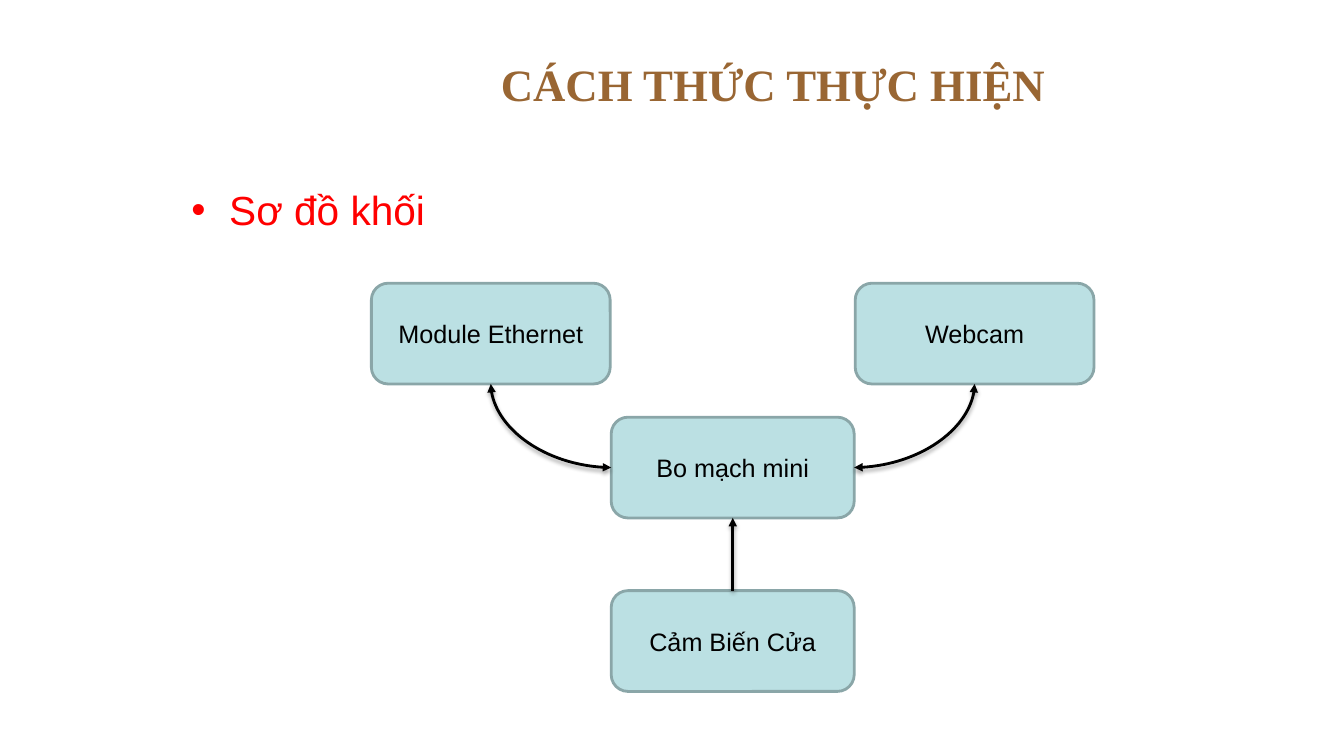
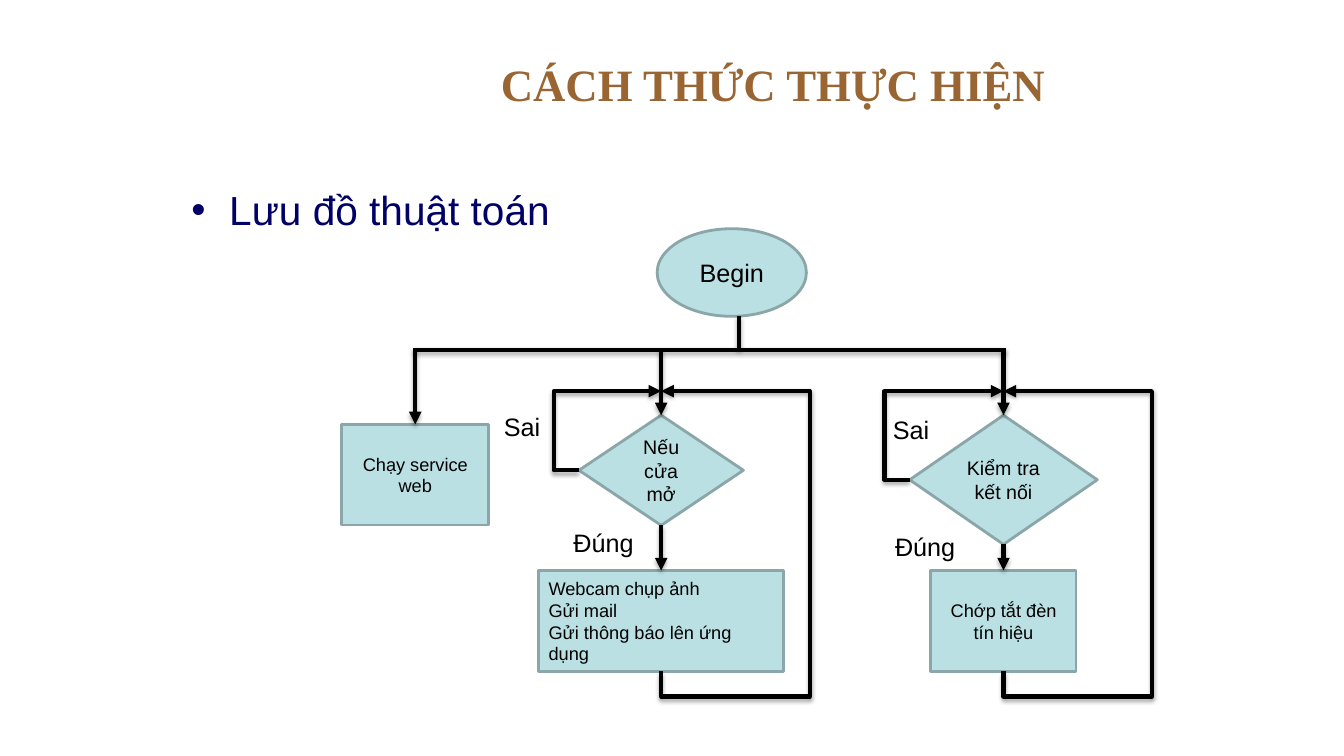
from dataclasses import dataclass

from lxml.etree import SubElement
from pptx import Presentation
from pptx.dml.color import RGBColor as RGB
from pptx.enum.shapes import MSO_CONNECTOR as LINK, MSO_SHAPE as SHAPE
from pptx.enum.text import MSO_ANCHOR as ANCHOR, MSO_AUTO_SIZE as FIT, PP_ALIGN as ALIGN
from pptx.oxml.ns import qn
from pptx.util import Pt


@dataclass(frozen=True)
class Theme:
    title_color: str = "996633"
    red: str = "FF0000"
    navy: str = "000066"
    ink: str = "000000"
    node_fill: str = "BBE0E3"
    node_line: str = "8AA6A8"
    title_font: str = "Times New Roman"
    font: str = "Arial"
    title: float = 32
    bullet: float = 29
    label: float = 18
    decision: float = 14
    small: float = 13
    thin: float = 2
    thick: float = 3


T = Theme()


class Deck:
    """Holds the style and the current slide."""

    def __init__(self):
        self.prs = Presentation()
        self.prs.slide_width, self.prs.slide_height = Pt(960), Pt(540)
        self.s = None

    # Text
    def run(self, p, text, size, color=T.ink, font=T.font, bold=False):
        r = p.add_run()
        r.text = text
        r.font.size, r.font.name, r.font.bold = Pt(size), font, bold
        r.font.color.rgb = RGB.from_string(color)

    def slide(self, title):
        self.s = self.prs.slides.add_slide(self.prs.slide_layouts[5])
        sp = self.s.shapes.title
        sp.left, sp.top, sp.width, sp.height = Pt(184.3), Pt(22.3), Pt(743.8), Pt(74.2)
        tf = sp.text_frame
        tf.auto_size, tf.vertical_anchor = FIT.NONE, ANCHOR.MIDDLE
        p = tf.paragraphs[0]
        p.alignment = ALIGN.CENTER
        self.run(p, title, T.title, T.title_color, T.title_font, True)

    def bullet(self, text, color):
        sp = self.s.shapes.add_textbox(Pt(129.6), Pt(128.9), Pt(798.5), Pt(369.4))
        sp.text_frame.word_wrap = True
        p = sp.text_frame.paragraphs[0]
        p.space_before = Pt(T.bullet * 0.2)
        pPr = p._p.get_or_add_pPr()
        pPr.set("marL", str(Pt(27)))
        pPr.set("indent", str(-Pt(27)))
        SubElement(pPr, qn("a:buFont"), typeface=T.font)
        SubElement(pPr, qn("a:buChar"), char="•")
        self.run(p, text, T.bullet, color)

    def label(self, text, x, y, w):
        sp = self.s.shapes.add_textbox(Pt(x), Pt(y), Pt(w), Pt(29))
        tf = sp.text_frame
        tf.word_wrap, tf.auto_size = False, FIT.SHAPE_TO_FIT_TEXT
        self.run(tf.paragraphs[0], text, T.label)

    # Nodes are placed by centre x and top
    def node(self, kind, cx, y, w, h, lines, size=T.label, align=ALIGN.CENTER):
        sp = self.s.shapes.add_shape(kind, Pt(cx - w / 2), Pt(y), Pt(w), Pt(h))
        sp.shadow.inherit = False
        sp.fill.solid()
        sp.fill.fore_color.rgb = RGB.from_string(T.node_fill)
        sp.line.color.rgb = RGB.from_string(T.node_line)
        sp.line.width = Pt(T.thin)
        tf = sp.text_frame
        tf.word_wrap, tf.vertical_anchor = True, ANCHOR.MIDDLE
        for i, text in enumerate(lines):
            p = tf.add_paragraph() if i else tf.paragraphs[0]
            p.alignment = align
            self.run(p, text, size)
        return sp

    # Lines
    def stroke(self, line_shape, width, ends):
        line_shape.line.color.rgb = RGB.from_string(T.ink)
        line_shape.line.width = Pt(width)
        spPr = line_shape.element.spPr
        for end in ends:
            SubElement(spPr.find(qn("a:ln")), qn(f"a:{end}End"), type="triangle")
        effects = SubElement(spPr, qn("a:effectLst"))
        shadow = SubElement(effects, qn("a:outerShdw"), blurRad=str(Pt(3.1)),
                            dist=str(Pt(1.8)), dir="5400000", rotWithShape="0")
        color = SubElement(shadow, qn("a:srgbClr"), val=T.ink)
        SubElement(color, qn("a:alpha"), val="35000")

    def link(self, start, end, width=T.thick, ends=("tail",), kind=LINK.STRAIGHT,
             begin=None, finish=None):
        """begin and finish are (shape, side) pairs to join."""
        c = self.s.shapes.add_connector(kind, *(Pt(v) for v in (*start, *end)))
        if begin:
            c.begin_connect(*begin)
        if finish:
            c.end_connect(*finish)
        self.stroke(c, width, ends)
        return c.element.spPr.find(qn("a:prstGeom"))

    def curve(self, start, end):
        geom = self.link(start, end, T.thin, ("head", "tail"), LINK.CURVE)
        geom.set("prst", "curvedConnector2")

    def elbow(self, start, end, bend_x):
        geom = self.link(start, end, kind=LINK.ELBOW)
        ratio = (bend_x - start[0]) / (end[0] - start[0])
        SubElement(geom.find(qn("a:avLst")), qn("a:gd"), name="adj1",
                   fmla=f"val {round(ratio * 100000)}")

    def route(self, *points):
        pts = [(Pt(x), Pt(y)) for x, y in points]
        fb = self.s.shapes.build_freeform(*pts[0])
        fb.add_line_segments(pts[1:], close=False)
        sp = fb.convert_to_shape()
        sp.fill.background()
        self.stroke(sp, T.thick, ("tail",))


TITLE = "CÁCH THỨC THỰC HIỆN "


def block_diagram(d):
    d.slide(TITLE)
    d.bullet("Sơ đồ khối", T.red)

    # Boxes
    mid, side, core_w, h = 523.4, 172.8, 173.6, 72
    top_y, core_y, sensor_y = 202.3, 298, 421.9
    core = d.node(SHAPE.ROUNDED_RECTANGLE, mid, core_y, core_w, h, ["Bo mạch mini"])
    for cx, text in ((mid - side, "Module Ethernet"), (mid + side, "Webcam")):
        d.node(SHAPE.ROUNDED_RECTANGLE, cx, top_y, 170.6, h, [text])
    sensor = d.node(SHAPE.ROUNDED_RECTANGLE, mid, sensor_y, core_w, h, ["Cảm Biến Cửa"])

    # Arrows
    d.link((mid, sensor_y), (mid, core_y + h), T.thin,
           begin=(sensor, 0), finish=(core, 2))
    for sign in (1, -1):
        d.curve((mid + sign * core_w / 2, core_y + h / 2), (mid + sign * side, top_y + h))


def flowchart(d):
    d.slide(TITLE)
    d.bullet("Lưu đồ thuật toán", T.navy)
    bus_y, merge_y, check_y, action_y, h = 249.8, 279.4, 296.6, 407.5, 72
    service_x, door_x, network_x, begin_x = 296.6, 472.3, 716.8, 522.7

    # Start, bus and web service
    d.node(SHAPE.OVAL, begin_x, 163.4, 106.6, 62.6, ["Begin"])
    service = d.node(SHAPE.RECTANGLE, service_x, 303.1, 105.1, h,
                     ["Chạy service web"], T.small)
    d.link((begin_x + 5, 226), (begin_x + 5, bus_y), ends=())
    d.link((network_x + 1.5, bus_y), (service_x - 1.5, bus_y), ends=())
    d.link((service_x, bus_y), (service_x, 303.1), finish=(service, 0))

    # Checked branches: decision, action and the two loops back
    actions = ["Webcam chụp ảnh", "Gửi mail", "Gửi thông báo lên ứng dụng"]
    branches = (
        (door_x, 117.4, 78.7, "Nếu cửa mở", 175, actions, ALIGN.LEFT),
        (network_x, 134, 92.3, "Kiểm tra kết nối", 103.7,
         ["Chớp tắt đèn tín hiệu"], ALIGN.CENTER),
    )
    for cx, check_w, check_h, question, action_w, lines, align in branches:
        check = d.node(SHAPE.DIAMOND, cx, check_y, check_w, check_h, [question], T.decision)
        action = d.node(SHAPE.RECTANGLE, cx, action_y, action_w, h, lines, T.small, align)
        d.link((cx, bus_y), (cx, check_y), finish=(check, 0))
        d.link((cx, check_y + check_h), (cx, action_y), begin=(check, 2), finish=(action, 0))
        left, bottom, right = cx - check_w / 2, action_y + h, cx + 106
        d.elbow((left, check_y + check_h / 2), (cx, merge_y), left - 18)
        d.route((cx, bottom), (cx, bottom + 18), (right, bottom + 18),
                (right, merge_y), (cx, merge_y))

    # Branch labels
    for text, x, y, w in (("Sai", 352.8, 290.2, 41), ("Sai", 630.7, 292.3, 41),
                          ("Đúng", 402.5, 373, 58.3), ("Đúng", 632.2, 375.8, 58.3)):
        d.label(text, x, y, w)


def main():
    d = Deck()
    block_diagram(d)
    flowchart(d)
    d.prs.save("out.pptx")


if __name__ == "__main__":
    main()
